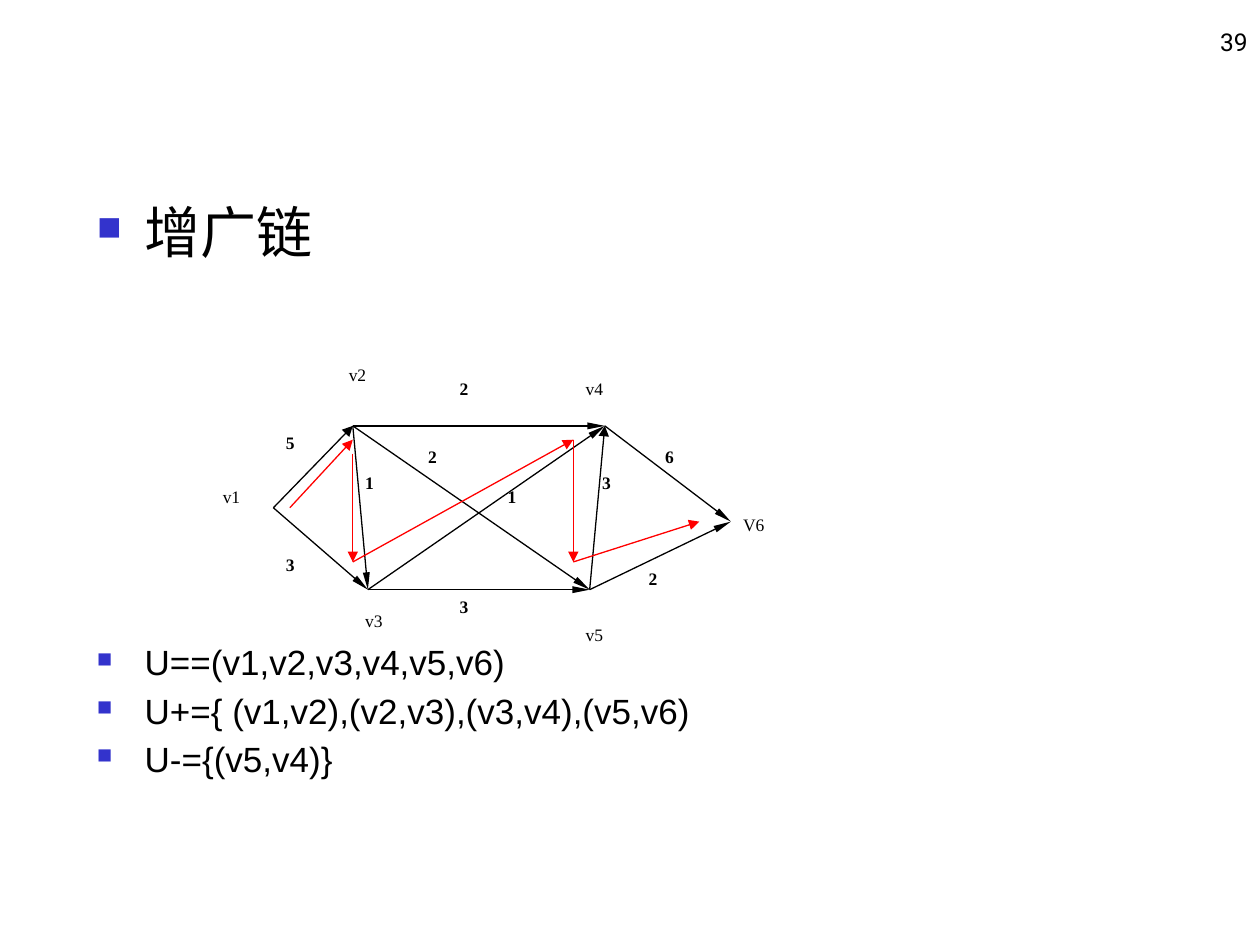
from lxml import etree
from pptx import Presentation
from pptx.dml.color import RGBColor
from pptx.enum.shapes import MSO_CONNECTOR as Connector
from pptx.enum.text import MSO_ANCHOR as Anchor, PP_ALIGN as Align
from pptx.oxml.ns import qn
from pptx.util import Inches, Pt

BLACK, RED, BLUE = "000000", "FF0000", "3333CC"

# Network: vertex positions, vertex labels and edges
VERTICES = {
    "v1": (2.17, 4.03), "v2": (2.8, 3.38), "v3": (2.92, 4.68),
    "v4": (4.8, 3.38), "v5": (4.68, 4.68), "v6": (5.8, 4.14),
}
VERTEX_LABELS = [
    ("v1", 1.67, 3.81), ("V6", 5.8, 4.03), ("v2", 2.67, 2.84),
    ("v3", 2.8, 4.79), ("v5", 4.55, 4.9), ("v4", 4.55, 2.95),
]
SLIM, REGULAR = ("sm", "lg"), ("med", "med")
EDGES = [
    ("v2", "v4", SLIM), ("v1", "v2", REGULAR), ("v1", "v3", SLIM),
    ("v3", "v5", SLIM), ("v2", "v3", SLIM), ("v2", "v5", SLIM),
    ("v3", "v4", SLIM), ("v4", "v6", SLIM), ("v5", "v6", SLIM),
    ("v5", "v4", REGULAR),
]
CAPACITIES = [
    ("3", 2.17, 4.35), ("1", 2.8, 3.7), ("2", 3.55, 2.95), ("6", 5.18, 3.49),
    ("2", 3.3, 3.49), ("3", 4.68, 3.7), ("2", 5.05, 4.46), ("3", 3.55, 4.68),
    ("5", 2.17, 3.38), ("1", 3.93, 3.81),
]
# Augmenting chain, step by step
CHAIN = [
    ((2.3, 4.03), (2.8, 3.49)), ((2.8, 3.6), (2.8, 4.46)),
    ((2.8, 4.46), (4.55, 3.49)), ((4.55, 3.49), (4.55, 4.46)),
    ((4.55, 4.46), (5.55, 4.14)),
]
# Body text, size and space before
BODY = [
    ("增广链", 32, 0),
    ("U==(v1,v2,v3,v4,v5,v6)", 20, 217),
    ("U+={ (v1,v2),(v2,v3),(v3,v4),(v5,v6)", 20, 6),
    ("U-={(v5,v4)}", 20, 6),
]


def color(hex_value):
    return RGBColor.from_string(hex_value)


def set_font(paragraph, **values):
    paragraph.font.color.rgb = color(BLACK)
    for name, value in values.items():
        setattr(paragraph.font, name, value)


def add_text(shapes, left, top, width, height):
    box = shapes.add_textbox(*map(Inches, (left, top, width, height)))
    box.text_frame.word_wrap = True
    return box.text_frame


def add_label(shapes, text, left, top, bold=False):
    paragraph = add_text(shapes, left, top, 0.63, 0.43).paragraphs[0]
    paragraph.text = text
    paragraph.alignment = Align.JUSTIFY
    set_font(paragraph, name="Times New Roman", size=Pt(10), bold=bold)


def add_arrow(shapes, start, end, hex_value, head):
    arrow = shapes.add_connector(Connector.STRAIGHT, *map(Inches, start + end))
    arrow.line.color.rgb = color(hex_value)
    arrow.line.width = Pt(0.75)
    width, length = head
    etree.SubElement(arrow.line._get_or_add_ln(), qn("a:tailEnd"),
                     type="triangle", w=width, len=length)
    etree.SubElement(arrow._element.spPr, qn("a:effectLst"))


def add_bullet(paragraph):
    props = paragraph._p.get_or_add_pPr()
    props.set("marL", str(Inches(0.38)))
    props.set("indent", str(-Inches(0.38)))
    bullet_color = etree.SubElement(props, qn("a:buClr"))
    etree.SubElement(bullet_color, qn("a:srgbClr"), val=BLUE)
    etree.SubElement(props, qn("a:buSzPct"), val="60000")
    etree.SubElement(props, qn("a:buChar"), char="■")


def add_page_number(shapes):
    frame = add_text(shapes, 7.92, 0, 2.08, 0.5)
    frame.vertical_anchor = Anchor.BOTTOM
    number = frame.paragraphs[0]
    number.text = "39"
    number.alignment = Align.RIGHT
    set_font(number, name="Roboto", size=Pt(14))


def add_body(shapes):
    frame = add_text(shapes, 0.67, 1.58, 8.75, 5.17)
    for index, (text, size, space) in enumerate(BODY):
        paragraph = frame.add_paragraph() if index else frame.paragraphs[0]
        paragraph.text = text
        paragraph.line_spacing = 0.9
        paragraph.space_before = Pt(space)
        add_bullet(paragraph)
        set_font(paragraph, name="Arial", size=Pt(size))


def add_network(shapes):
    network = shapes.add_group_shape().shapes
    for start, end, head in EDGES:
        add_arrow(network, VERTICES[start], VERTICES[end], BLACK, head)
    for label in VERTEX_LABELS:
        add_label(network, *label)
    for capacity in CAPACITIES:
        add_label(network, *capacity, bold=True)
    for start, end in CHAIN:
        add_arrow(network, start, end, RED, REGULAR)


def main():
    deck = Presentation()
    deck.slide_width, deck.slide_height = Inches(10), Inches(7.5)
    shapes = deck.slides.add_slide(deck.slide_layouts[6]).shapes
    add_page_number(shapes)
    add_body(shapes)
    add_network(shapes)
    deck.save("out.pptx")


if __name__ == "__main__":
    main()
